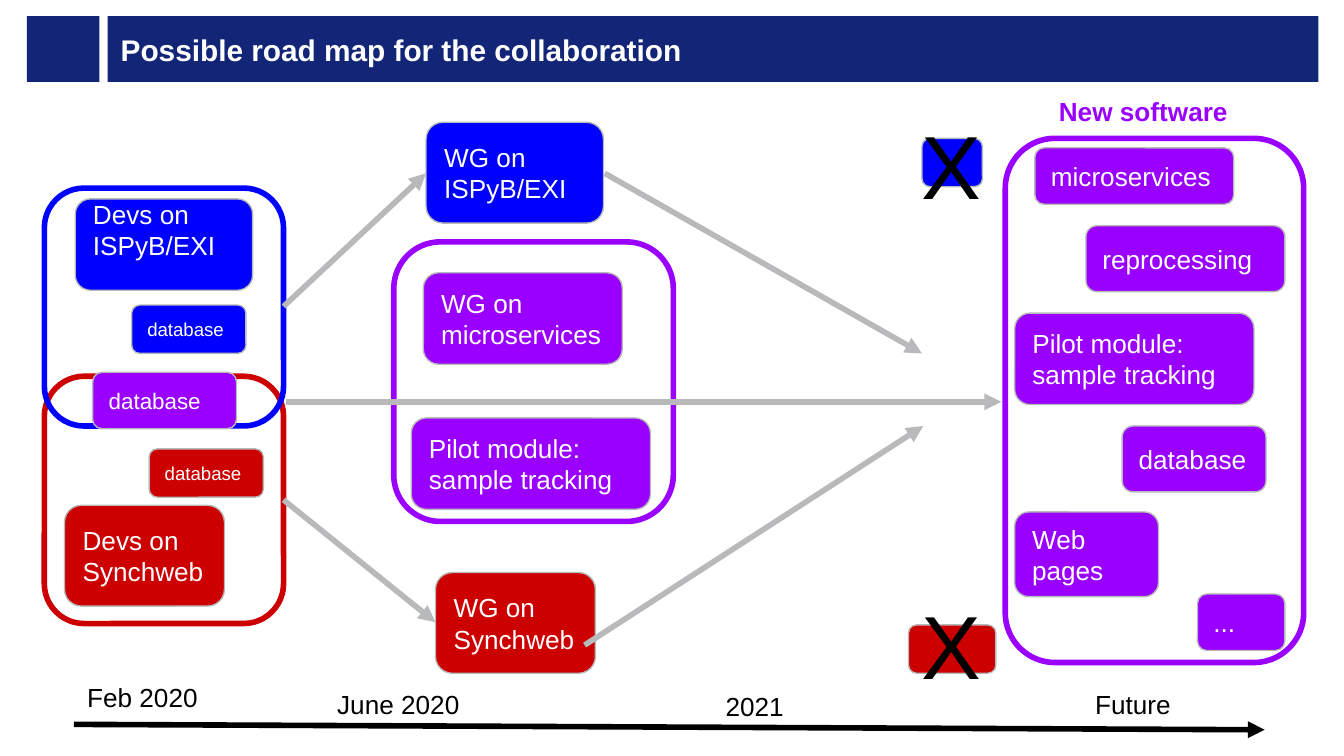
from lxml import etree
from pptx import Presentation
from pptx.dml.color import RGBColor
from pptx.enum.shapes import MSO_CONNECTOR, MSO_SHAPE
from pptx.enum.text import MSO_ANCHOR, PP_ALIGN
from pptx.oxml.ns import qn
from pptx.util import Pt

PX = 9144  # 100 px to the inch
RECT = MSO_SHAPE.RECTANGLE
ROUNDED = MSO_SHAPE.ROUNDED_RECTANGLE
PROCESS = MSO_SHAPE.FLOWCHART_ALTERNATE_PROCESS
STRAIGHT = MSO_CONNECTOR.STRAIGHT
TOP, MIDDLE = MSO_ANCHOR.TOP, MSO_ANCHOR.MIDDLE
LEFT = PP_ALIGN.LEFT

NAVY = RGBColor(0x13, 0x25, 0x77)
BLUE = RGBColor(0x00, 0x00, 0xFF)
RED = RGBColor(0xCC, 0x00, 0x00)
PURPLE = RGBColor(0x99, 0x00, 0xFF)
GREY = RGBColor(0xB7, 0xB9, 0xBA)
WHITE = RGBColor(0xFF, 0xFF, 0xFF)
BLACK = RGBColor(0x00, 0x00, 0x00)

deck = Presentation()
deck.slide_width = 1000 * PX
deck.slide_height = deck.slide_width * 9 // 16
page = deck.slides.add_slide(deck.slide_layouts[6])


def write(box, text, size, color, bold=False, anchor=MIDDLE, bottom=10):
    frame = box.text_frame
    frame.word_wrap = True
    frame.vertical_anchor = anchor
    frame.margin_left = frame.margin_right = frame.margin_top = 10 * PX
    frame.margin_bottom = bottom * PX
    para = frame.paragraphs[0]
    para.text = text
    para.alignment = LEFT
    para.font.name = "Arial"
    para.font.size = Pt(size)
    para.font.bold = bold
    para.font.color.rgb = color


def add_arrow(x1, y1, x2, y2, color):
    arrow = page.shapes.add_connector(STRAIGHT, x1 * PX, y1 * PX, x2 * PX, y2 * PX)
    arrow.line.color.rgb = color
    arrow.line.width = Pt(3)
    etree.SubElement(arrow.line._get_or_add_ln(), qn("a:tailEnd"), type="triangle")
    etree.SubElement(arrow._element.spPr, qn("a:effectLst"))


# Title bar
for left, width in ((20, 54), (80, 901)):
    bar = page.shapes.add_shape(RECT, left * PX, 12 * PX, width * PX, 49 * PX)
    bar.shadow.inherit = False
    bar.fill.solid()
    bar.fill.fore_color.rgb = NAVY
    bar.line.fill.background()
write(bar, "Possible road map for the collaboration", 16, WHITE, bold=True)

# Outlines around each stage
for kind, left, top, width, height, color in (
    (PROCESS, 33, 280, 178, 184, RED),
    (PROCESS, 33, 140, 178, 177, BLUE),
    (ROUNDED, 293, 180, 208, 208, PURPLE),
    (PROCESS, 748, 103, 222, 390, PURPLE),
):
    outline = page.shapes.add_shape(kind, left * PX, top * PX, width * PX, height * PX)
    outline.shadow.inherit = False
    outline.fill.background()
    outline.line.color.rgb = color
    outline.line.width = Pt(3)

add_arrow(213, 299, 745, 299, GREY)

# Work items: left, top, width, height, fill, text, size, bottom inset
items = (
    (56, 148, 132, 68, BLUE, "Devs on ISPyB/EXI", 14, 32),
    (98, 227, 85, 36, BLUE, "database", 10, 10),
    (69, 277, 107, 42, PURPLE, "database", 12, 10),
    (111, 334, 85, 36, RED, "database", 10, 10),
    (48, 376, 119, 75, RED, "Devs on Synchweb", 14, 10),
    (317, 91, 132, 75, BLUE, "WG on ISPyB/EXI", 14, 10),
    (315, 203, 148, 68, PURPLE, "WG on microservices", 14, 10),
    (306, 311, 178, 68, PURPLE, "Pilot module: sample tracking", 14, 10),
    (324, 426, 119, 75, RED, "WG on Synchweb", 14, 10),
    (686, 103, 45, 36, BLUE, "", 14, 10),
    (676, 465, 65, 36, RED, "", 14, 10),
    (770, 110, 148, 42, PURPLE, "microservices", 14, 10),
    (808, 168, 148, 49, PURPLE, "reprocessing", 14, 10),
    (755, 233, 178, 68, PURPLE, "Pilot module: sample tracking", 14, 10),
    (835, 317, 107, 49, PURPLE, "database", 14, 10),
    (755, 381, 107, 63, PURPLE, "Web pages", 14, 10),
    (891, 442, 65, 42, PURPLE, "...", 14, 10),
)
for left, top, width, height, color, text, size, bottom in items:
    item = page.shapes.add_shape(PROCESS, left * PX, top * PX, width * PX, height * PX)
    item.shadow.inherit = False
    item.fill.solid()
    item.fill.fore_color.rgb = color
    item.line.color.rgb = GREY
    item.line.width = Pt(0.75)
    if text:
        write(item, text, size, WHITE, bottom=bottom)

for ends in (
    (435, 480, 687, 317),
    (211, 372, 324, 463),
    (211, 228, 317, 129),
    (450, 129, 686, 263),
):
    add_arrow(*ends, GREY)
add_arrow(55, 539, 941, 543, BLACK)

# Free labels: left, top, width, height, text, size, colour, bold
labels = (
    (778, 61, 161, 42, "New software", 14, PURPLE, True),
    (676, 72, 65, 68, "X", 48, BLACK, False),
    (676, 429, 65, 68, "X", 48, BLACK, False),
    (55, 497, 107, 42, "Feb 2020", 14, BLACK, False),
    (241, 502, 119, 42, "June 2020", 14, BLACK, False),
    (530, 504, 75, 42, "2021", 14, BLACK, False),
    (805, 502, 107, 42, "Future", 14, BLACK, False),
)
for left, top, width, height, text, size, color, bold in labels:
    label = page.shapes.add_textbox(left * PX, top * PX, width * PX, height * PX)
    write(label, text, size, color, bold, anchor=TOP)

deck.save("out.pptx")
